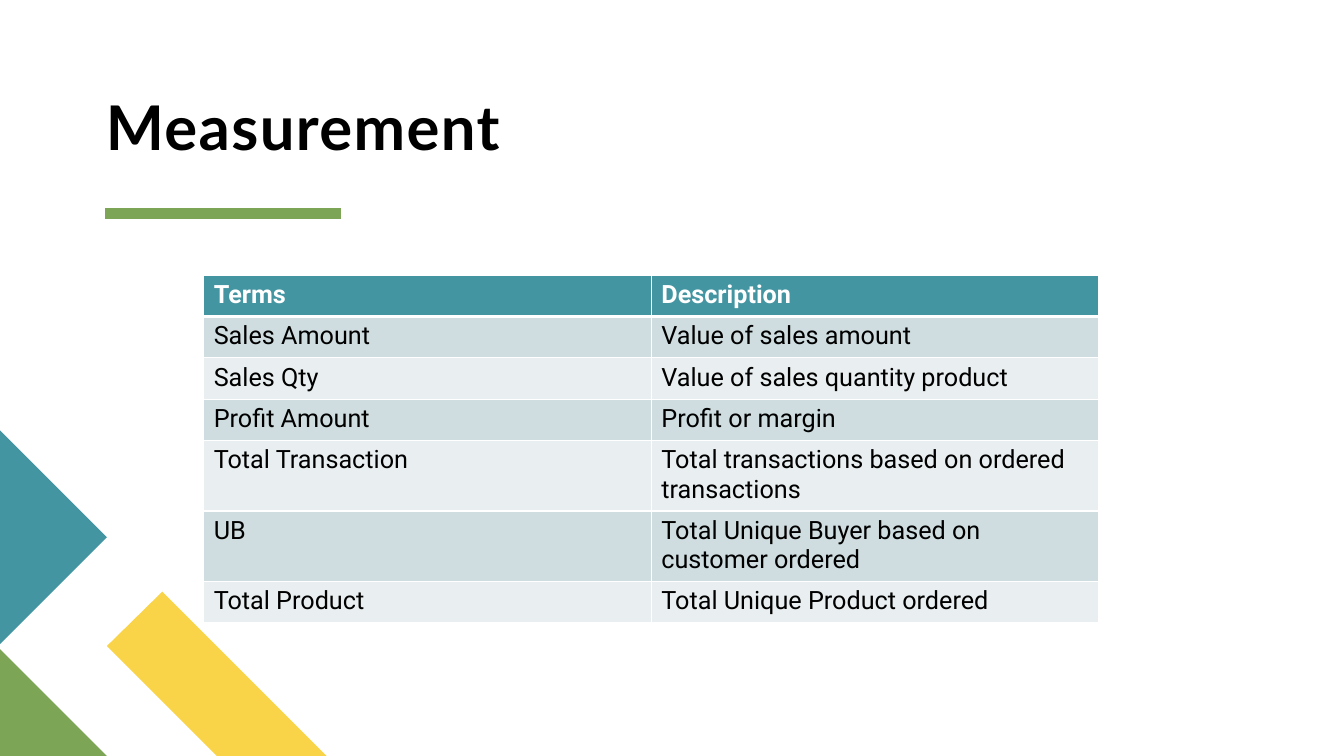
"""Build the Measurement slide: a table of terms with corner shapes."""
from dataclasses import dataclass

from lxml.etree import SubElement
from pptx import Presentation
from pptx.dml.color import RGBColor
from pptx.enum.shapes import MSO_CONNECTOR
from pptx.enum.text import MSO_ANCHOR
from pptx.oxml import parse_xml
from pptx.oxml.ns import nsdecls, qn
from pptx.util import Inches, Pt


@dataclass(frozen=True)
class Theme:
    teal: str = "4495A2"
    green: str = "7CA655"
    yellow: str = "F9D448"
    white: str = "FFFFFF"
    black: str = "000000"
    band_dark: str = "CFDDE0"
    band_light: str = "E9EFF0"
    title_font: str = "Lato"
    body_font: str = "Roboto"
    title_size: int = 44
    body_size: int = 18


def style_run(span, font_name, size, color, bold):
    span.font.name = font_name
    span.font.size = Pt(size)
    span.font.color.rgb = RGBColor.from_string(color)
    span.font.bold = bold


def add_border(cell, side, position, points):
    border = parse_xml(
        f'<a:{side} {nsdecls("a")} w="{Pt(points)}"><a:solidFill>'
        f'<a:srgbClr val="{theme.white}"/></a:solidFill></a:{side}>'
    )
    cell._tc.get_or_add_tcPr().insert(position, border)


theme = Theme()
deck = Presentation()
deck.slide_width = Inches(13.33)
deck.slide_height = Inches(7.5)
page = deck.slides.add_slide(deck.slide_layouts[6])

corner_shapes = [
    (theme.yellow, [(3.24, 7.5), (2.15, 7.5), (1.06, 6.41), (1.61, 5.87)]),
    (theme.green, [(1.06, 7.5), (0, 7.5), (0, 6.44)]),
    (theme.teal, [(0, 4.27), (1.06, 5.33), (0, 6.39)]),
]
for color, corners in corner_shapes:
    points = [(Inches(x), Inches(y)) for x, y in corners]
    builder = page.shapes.build_freeform(*points[0])
    builder.add_line_segments(points[1:], close=True)
    shape = builder.convert_to_shape()
    shape.shadow.inherit = False
    shape.fill.solid()
    shape.fill.fore_color.rgb = RGBColor.from_string(color)
    shape.line.fill.background()

rule = page.shapes.add_connector(
    MSO_CONNECTOR.STRAIGHT, Inches(1.04), Inches(2.12), Inches(3.38), Inches(2.12)
)
rule.line.color.rgb = RGBColor.from_string(theme.green)
rule.line.width = Pt(8)
SubElement(rule._element.spPr, qn("a:effectLst"))

box = page.shapes.add_textbox(Inches(1.05), Inches(0.96), Inches(5.4), Inches(0.67))
frame = box.text_frame
frame.word_wrap = True
frame.vertical_anchor = MSO_ANCHOR.BOTTOM
frame.margin_left = frame.margin_top = frame.margin_right = frame.margin_bottom = 0
frame.text = "Measurement"
para = frame.paragraphs[0]
para.line_spacing = 0.9
span = para.runs[0]
style_run(span, theme.title_font, theme.title_size, theme.black, True)
span.font._element.set("spc", "100")

terms = [
    ("Terms", "Description"),
    ("Sales Amount", "Value of sales amount"),
    ("Sales Qty", "Value of sales quantity product"),
    ("Profit Amount", "Profit or margin"),
    ("Total Transaction", "Total transactions based on ordered transactions"),
    ("UB", "Total Unique Buyer based on customer ordered"),
    ("Total Product", "Total Unique Product ordered"),
]
row_height = 0.41
table = page.shapes.add_table(
    len(terms), 2, Inches(2.02), Inches(2.73), Inches(8.88), Inches(row_height * len(terms))
).table
for row_index, texts in enumerate(terms):
    is_header = row_index == 0
    band = theme.band_dark if row_index % 2 else theme.band_light
    top = 3 if row_index == 1 else 1
    bottom = 3 if is_header else 1
    for column_index, text in enumerate(texts):
        cell = table.cell(row_index, column_index)
        cell.fill.solid()
        cell.fill.fore_color.rgb = RGBColor.from_string(theme.teal if is_header else band)
        cell.text_frame.text = text
        style_run(
            cell.text_frame.paragraphs[0].runs[0],
            theme.body_font,
            theme.body_size,
            theme.white if is_header else theme.black,
            is_header,
        )
        borders = [("lnL", 1), ("lnR", 1), ("lnT", top), ("lnB", bottom)]
        for position, (side, width) in enumerate(borders):
            add_border(cell, side, position, width)

deck.save("out.pptx")
